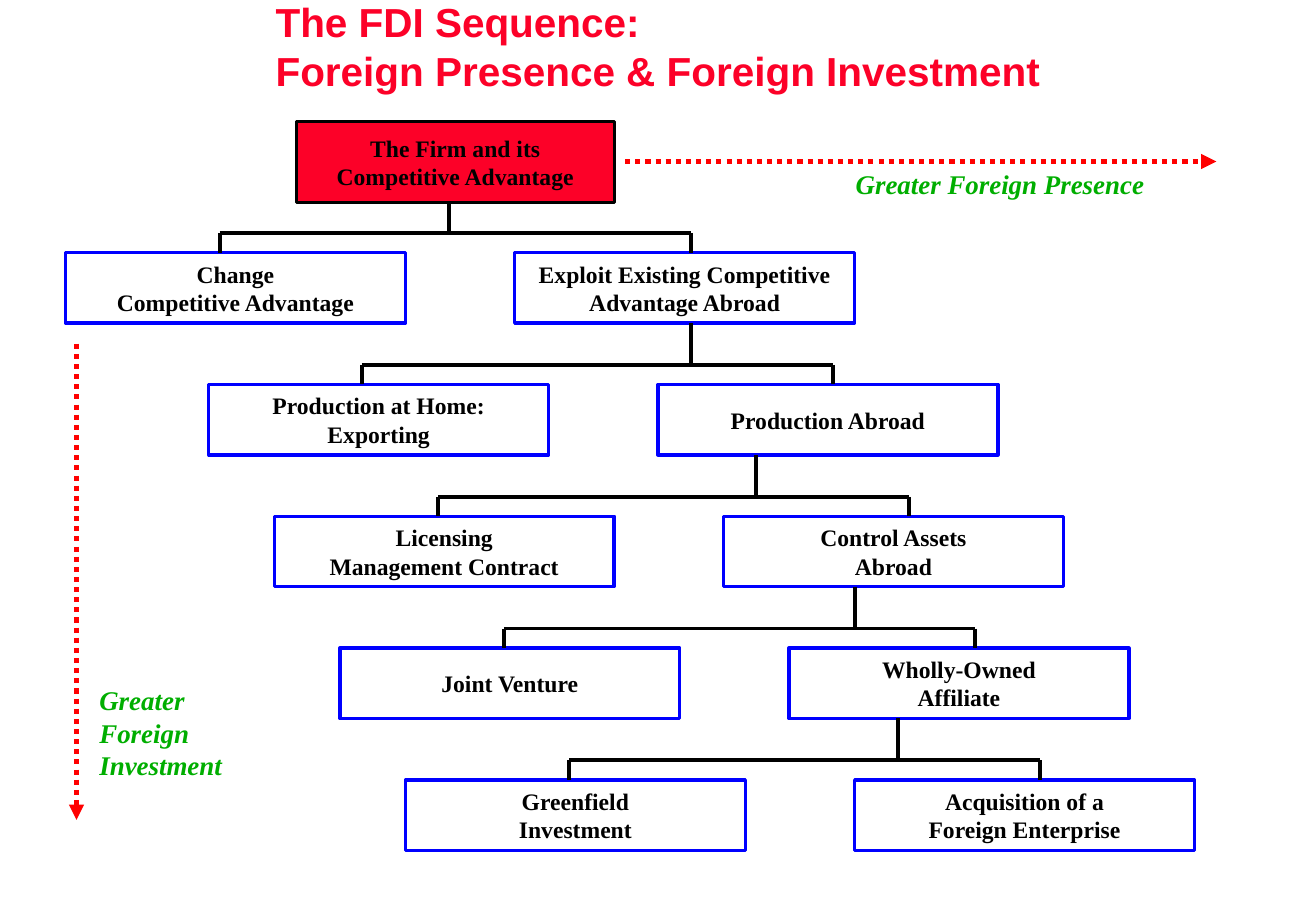
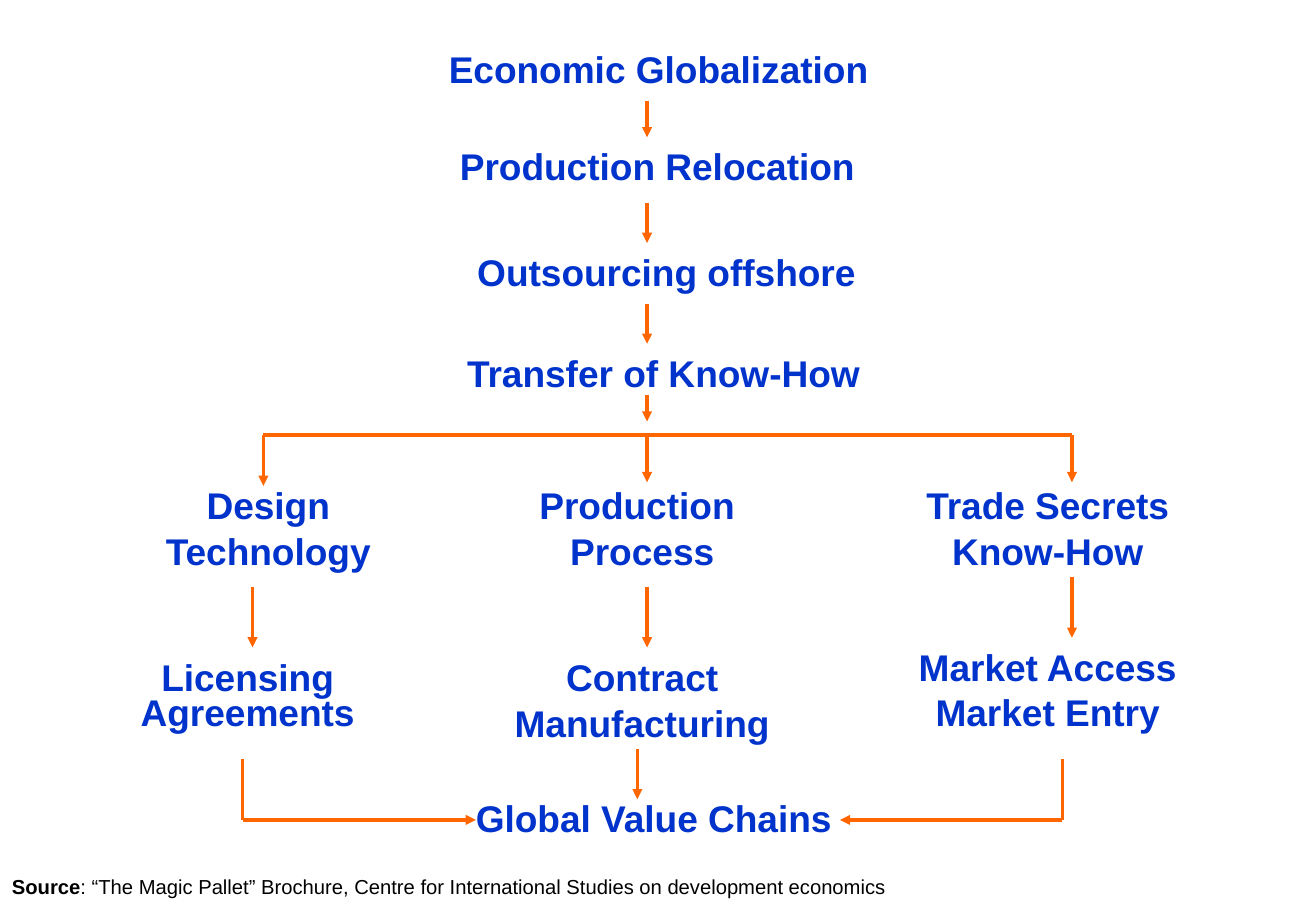
from pptx import Presentation
from pptx.dml.color import RGBColor
from pptx.enum import dml, shapes, text as tx
from pptx.oxml import parse_xml
from pptx.oxml.ns import nsdecls
from pptx.util import Inches, Pt

# Shared look
HUE = {"title": "FC0128", "edge": "0000FF", "ink": "000000", "note": "00AE00",
       "trend": "FF0000", "step": "0033CC", "flow": "FF6600"}
SANS, SERIF = "Arial", "Times New Roman"
LEFT, MID = tx.PP_ALIGN.LEFT, tx.PP_ALIGN.CENTER
TOP, CORE = tx.MSO_ANCHOR.TOP, tx.MSO_ANCHOR.MIDDLE

# Slide 1: each level has left edge, stem x, drop x and the two labels
TITLE = "The FDI Sequence:\vForeign Presence & Foreign Investment"
ROOT = "The Firm and its\nCompetitive Advantage"
LEVELS = [
    (0.54, 3.7, 1.81, "Change\nCompetitive Advantage",
     "Exploit Existing Competitive\nAdvantage Abroad"),
    (1.72, 5.69, 2.98, "Production at Home:\nExporting", "Production Abroad"),
    (2.26, 6.23, 3.61, "Licensing\nManagement Contract", "Control Assets\nAbroad"),
    (2.8, 7.04, 4.15, "Joint Venture", "Wholly-Owned\nAffiliate"),
    (3.34, 7.4, 4.69, "Greenfield\nInvestment", "Acquisition of a\nForeign Enterprise"),
]
TRENDS = [
    ((5.15, 1.33, 10.02, 1.33), "Greater Foreign Presence", (6.95, 1.33, 2.89, 0.37)),
    ((0.63, 2.83, 0.63, 6.75), "Greater\nForeign\nInvestment", (0.72, 5.58, 1.35, 0.9)),
]

# Slide 2: single-line steps, then two-line steps with their line spacing
STEPS = [
    ("Economic Globalization", 3.6, 0.33, 3.65),
    ("Production Relocation", 3.69, 1.13, 3.45),
    ("Outsourcing offshore", 3.83, 2, 3.32),
    ("Transfer of Know-How", 3.74, 2.83, 3.45),
    ("Global Value Chains", 3.81, 6.5, 3.15),
]
PAIRS = [
    ("Design\nTechnology", 1, 4.08, 0.5),
    ("Production \nProcess", 4.08, 4.08, 0.5),
    ("Trade Secrets\nKnow-How", 7.42, 4.08, 0.5),
    ("Licensing Agreements", 0.83, 5.42, 0.8),
    ("Contract\nManufacturing", 4.08, 5.5, 0.5),
    ("Market Access\nMarket Entry", 7.42, 5.41, 0.5),
]
DOWN = [  # x, top, bottom
    (5.33, 0.83, 1.13), (5.33, 1.67, 2), (5.33, 2.5, 2.83), (5.33, 3.25, 3.47),
    (2.17, 3.58, 4), (5.33, 3.58, 3.97), (8.83, 3.58, 3.97),
    (2.08, 4.83, 5.33), (5.33, 4.83, 5.33), (8.83, 4.75, 5.25), (5.25, 6.17, 6.58),
]
SPLIT = (2.17, 3.58, 8.83, 3.58)
RETURNS = [(2, 3.92), (8.75, 6.92)]
SOURCE = ("Source", ": “The Magic Pallet” Brochure, Centre for International Studies"
          " on development economics")


def rgb(name):
    return RGBColor.from_string(HUE[name])


def write(shape, text, size=14, font=SERIF, hue="ink", italic=False, align=MID,
          anchor=CORE, wrap=False, before=0, lead=None, plain=""):
    """Fill a shape with bold text; plain is a regular run after it."""
    frame = shape.text_frame
    frame.auto_size = tx.MSO_AUTO_SIZE.NONE
    frame.word_wrap = wrap
    frame.vertical_anchor = anchor
    frame.text = text
    if plain:
        frame.paragraphs[-1].add_run().text = plain
    for para in frame.paragraphs:
        para.alignment = align
        para.space_before = Pt(before)
        para.line_spacing = lead
        for run in para.runs:
            face = run.font
            face.name, face.size = font, Pt(size)
            face.bold, face.italic = run.text != plain, italic
            face.color.rgb = rgb(hue)


def label(slide, text, box, **style):
    write(slide.shapes.add_textbox(*map(Inches, box)), text, **style)


def block(slide, text, box, fill=None, edge="edge", width=2):
    rect = slide.shapes.add_shape(shapes.MSO_SHAPE.RECTANGLE, *map(Inches, box))
    rect.shadow.inherit = False
    if fill:
        rect.fill.solid()
        rect.fill.fore_color.rgb = rgb(fill)
    else:
        rect.fill.background()
    rect.line.color.rgb = rgb(edge)
    rect.line.width = Pt(width)
    write(rect, text)


def line(slide, ends, hue="ink", width=2.25, head=False, dots=False):
    link = slide.shapes.add_connector(shapes.MSO_CONNECTOR.STRAIGHT, *map(Inches, ends))
    link.line.color.rgb = rgb(hue)
    link.line.width = Pt(width)
    if dots:
        link.line.dash_style = dml.MSO_LINE.ROUND_DOT
    if head:
        link.line._get_or_add_ln().append(
            parse_xml(f'<a:tailEnd {nsdecls("a")} type="triangle"/>'))
    link._element.spPr.append(parse_xml(f'<a:effectLst {nsdecls("a")}/>'))


def tree(deck):
    slide = deck.slides.add_slide(deck.slide_layouts[5])
    title = slide.shapes.title
    title.left, title.top, title.width, title.height = map(Inches, (2.17, 0, 8.31, 0.75))
    write(title, TITLE, size=24, font=SANS, hue="title", align=LEFT, wrap=True)
    block(slide, ROOT, (2.44, 1, 2.62, 0.67), fill="title", edge="ink", width=1.5)

    # Levels at an equal pitch, each hung from the box above
    wide, high, pitch, gap, span = 2.8, 0.58, 1.085, 3.7, 3.88
    base = 1.67
    for row, (left, stem, drop, *names) in enumerate(LEVELS):
        top = 2.08 + row * pitch
        bar = top - 0.16
        for col, name in enumerate(names):
            block(slide, name, (left + col * gap, top, wide, high))
            x = drop + col * span
            line(slide, (x, bar, x, top))
        line(slide, (drop, bar, drop + span, bar))
        line(slide, (stem, base, stem, bar))
        base = top + high

    # Trend arrows
    for ends, name, box in TRENDS:
        line(slide, ends, hue="trend", width=3, head=True, dots=True)
        label(slide, name, box, size=16, hue="note", italic=True, align=LEFT,
              anchor=TOP, wrap=True)


def chain(deck):
    slide = deck.slides.add_slide(deck.slide_layouts[6])
    style = dict(size=22, font=SANS, hue="step", before=13.8)
    for name, x, y, wide in STEPS:
        label(slide, name, (x, y, wide, 0.47), **style)
    for name, x, y, lead in PAIRS:
        label(slide, name, (x, y, 2.42, 0.66), wrap=True, lead=lead, **style)

    # Flow lines
    flow = dict(hue="flow", width=2)
    for x, top, end in DOWN:
        line(slide, (x, top, x, end), head=True, **flow)
    line(slide, SPLIT, **flow)
    for x, end in RETURNS:
        line(slide, (x, 6.25, x, 6.75), **flow)
        line(slide, (x, 6.75, end, 6.75), head=True, **flow)

    label(slide, SOURCE[0], (0, 7.1, 7.5, 0.4), size=12, font=SANS, align=LEFT,
          wrap=True, plain=SOURCE[1])


def main():
    deck = Presentation()
    deck.slide_width, deck.slide_height = Inches(10.84), Inches(7.5)
    tree(deck)
    chain(deck)
    deck.save("out.pptx")


if __name__ == "__main__":
    main()
